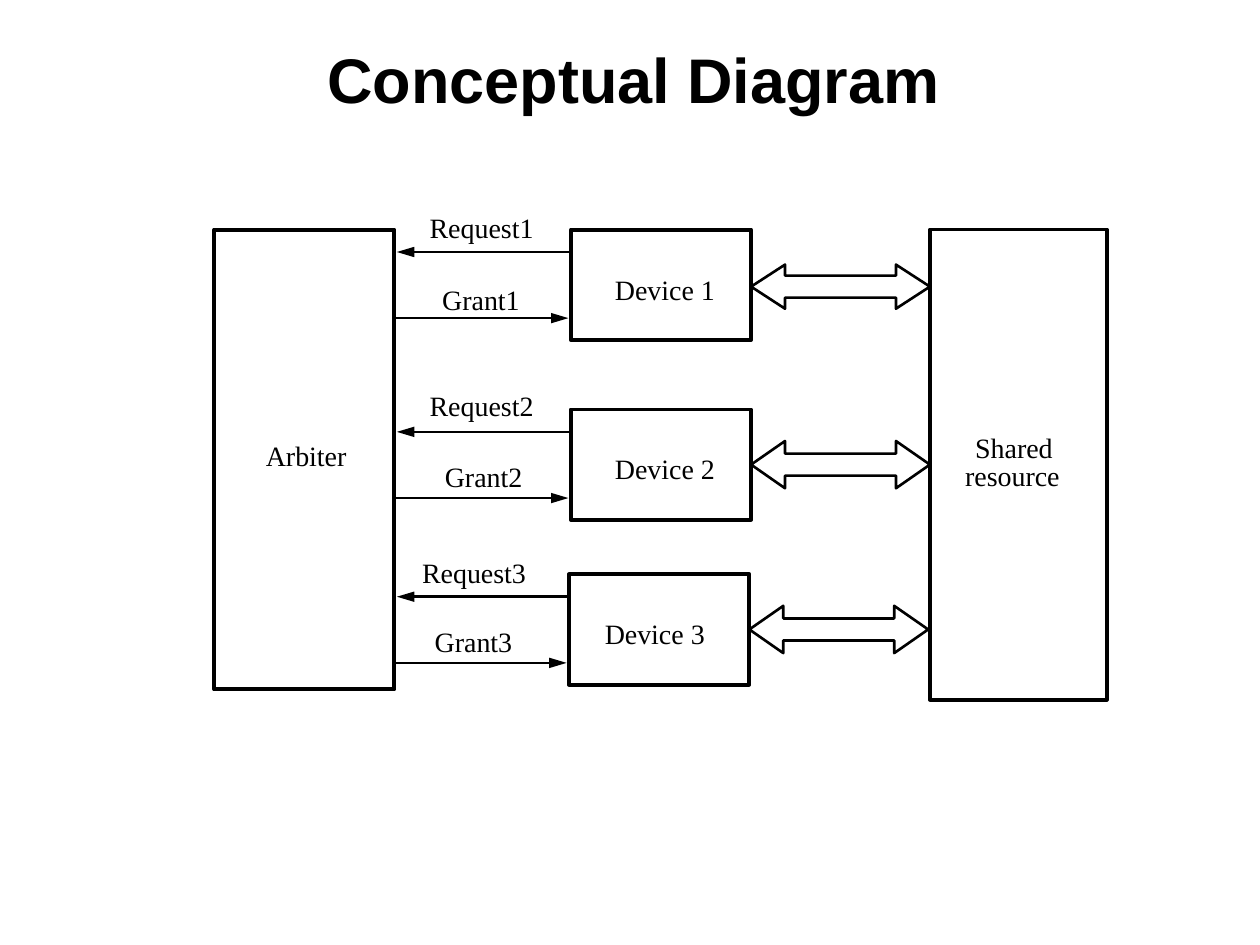
from dataclasses import dataclass

from lxml import etree
from pptx import Presentation
from pptx.dml.color import RGBColor
from pptx.enum.shapes import MSO_CONNECTOR, MSO_SHAPE
from pptx.enum.text import MSO_ANCHOR, MSO_AUTO_SIZE, PP_ALIGN
from pptx.oxml.ns import qn
from pptx.util import Pt

RECT = MSO_SHAPE.RECTANGLE
DOUBLE_ARROW = MSO_SHAPE.LEFT_RIGHT_ARROW
STRAIGHT = MSO_CONNECTOR.STRAIGHT
MIDDLE = MSO_ANCHOR.MIDDLE
FIT = MSO_AUTO_SIZE.SHAPE_TO_FIT_TEXT
CENTER = PP_ALIGN.CENTER

BLACK = RGBColor(0x00, 0x00, 0x00)

BOX_LINE = 2.25
ARROW_LINE = 1.5
LABEL_HEIGHT = 19.5
DEVICE_WIDTH = 103
ARBITER_RIGHT = 225.4
REQUEST_OFFSET = 12.8
GRANT_OFFSET = 50.6
BUS_WIDTH = 102.2
BUS_SHAFT = 12.6
BUS_HEAD = 19.4


@dataclass
class Box:
    left: float
    top: float
    width: float
    height: float


@dataclass
class Label:
    text: str
    left: float
    top: float
    width: float


@dataclass
class Device:
    left: float
    top: float
    bus_top: float
    bus_height: float
    name: Label
    request: Label
    grant: Label


ARBITER = Box(122.4, 131.2, 103, 262.8)
RESOURCE = Box(531.4, 131.2, 101, 268.6)

BLOCK_LABELS = [
    Label("Arbiter", 151.9, 250.6, 56.2),
    Label("Shared", 557.3, 246.2, 53.3),
    Label("resource", 551.5, 262.1, 66.2),
]

DEVICES = [
    Device(326.2, 131.2, 151.2, 25.2,
           Label("Device 1", 351.4, 155.9, 62.6),
           Label("Request1", 245.5, 120.2, 70.6),
           Label("Grant1", 252.7, 161.3, 51.8)),
    Device(326.2, 234, 252, 27,
           Label("Device 2", 351.4, 257.8, 62.6),
           Label("Request2", 245.5, 222.1, 70.6),
           Label("Grant2", 254.2, 262.8, 51.8)),
    Device(325.2, 328.2, 346.2, 27,
           Label("Device 3", 345.6, 352.4, 62.6),
           Label("Request3", 241.2, 317.5, 70.6),
           Label("Grant3", 248.4, 357.1, 51.8)),
]


def add_outline(slide, kind: MSO_SHAPE, box: Box, weight: float):
    sp = slide.shapes.add_shape(
        kind, Pt(box.left), Pt(box.top), Pt(box.width), Pt(box.height))
    sp.shadow.inherit = False
    sp.fill.background()
    sp.line.color.rgb = BLACK
    sp.line.width = Pt(weight)
    return sp


def add_label(slide, label: Label) -> None:
    sp = slide.shapes.add_textbox(
        Pt(label.left), Pt(label.top), Pt(label.width), Pt(LABEL_HEIGHT))
    tf = sp.text_frame
    tf.margin_left = tf.margin_right = tf.margin_top = tf.margin_bottom = 0
    tf.word_wrap = False
    tf.auto_size = FIT
    p = tf.paragraphs[0]
    p.text = label.text
    p.font.name = "Times New Roman"
    p.font.size = Pt(16)
    p.font.color.rgb = BLACK


def add_arrow(slide, start: float, end: float, y: float) -> None:
    line = slide.shapes.add_connector(STRAIGHT, Pt(start), Pt(y), Pt(end), Pt(y))
    line.line.color.rgb = BLACK
    line.line.width = Pt(ARROW_LINE)
    ln = line.line._get_or_add_ln()
    etree.SubElement(ln, qn("a:tailEnd"), type="triangle", w="med", len="lg")
    etree.SubElement(line._element.spPr, qn("a:effectLst"))


def add_bus(slide, device: Device) -> None:
    box = Box(device.left + DEVICE_WIDTH, device.bus_top, BUS_WIDTH, device.bus_height)
    sp = add_outline(slide, DOUBLE_ARROW, box, ARROW_LINE)
    sp.adjustments[0] = BUS_SHAFT / device.bus_height
    sp.adjustments[1] = BUS_HEAD / device.bus_height


def add_device(slide, device: Device) -> None:
    add_outline(slide, RECT, Box(device.left, device.top, DEVICE_WIDTH, 63), BOX_LINE)
    add_arrow(slide, device.left, ARBITER_RIGHT + 1.4, device.top + REQUEST_OFFSET)
    add_arrow(slide, ARBITER_RIGHT, device.left - 1.4, device.top + GRANT_OFFSET)
    add_bus(slide, device)
    for label in (device.name, device.request, device.grant):
        add_label(slide, label)


def add_title(slide, text: str) -> None:
    title = slide.shapes.title
    title.left, title.top, title.width, title.height = Pt(2), Pt(18), Pt(720), Pt(54)
    tf = title.text_frame
    tf.vertical_anchor = MIDDLE
    p = tf.paragraphs[0]
    p.text = text
    p.alignment = CENTER
    p.font.name = "Arial"
    p.font.size = Pt(36)
    p.font.bold = True
    p.font.color.rgb = BLACK


def main() -> None:
    prs = Presentation()
    prs.slide_width, prs.slide_height = Pt(720), Pt(540)
    slide = prs.slides.add_slide(prs.slide_layouts.get_by_name("Title Only"))
    add_title(slide, "Conceptual Diagram")
    for block in (ARBITER, RESOURCE):
        add_outline(slide, RECT, block, BOX_LINE)
    for device in DEVICES:
        add_device(slide, device)
    for label in BLOCK_LABELS:
        add_label(slide, label)
    prs.save("out.pptx")


if __name__ == "__main__":
    main()
